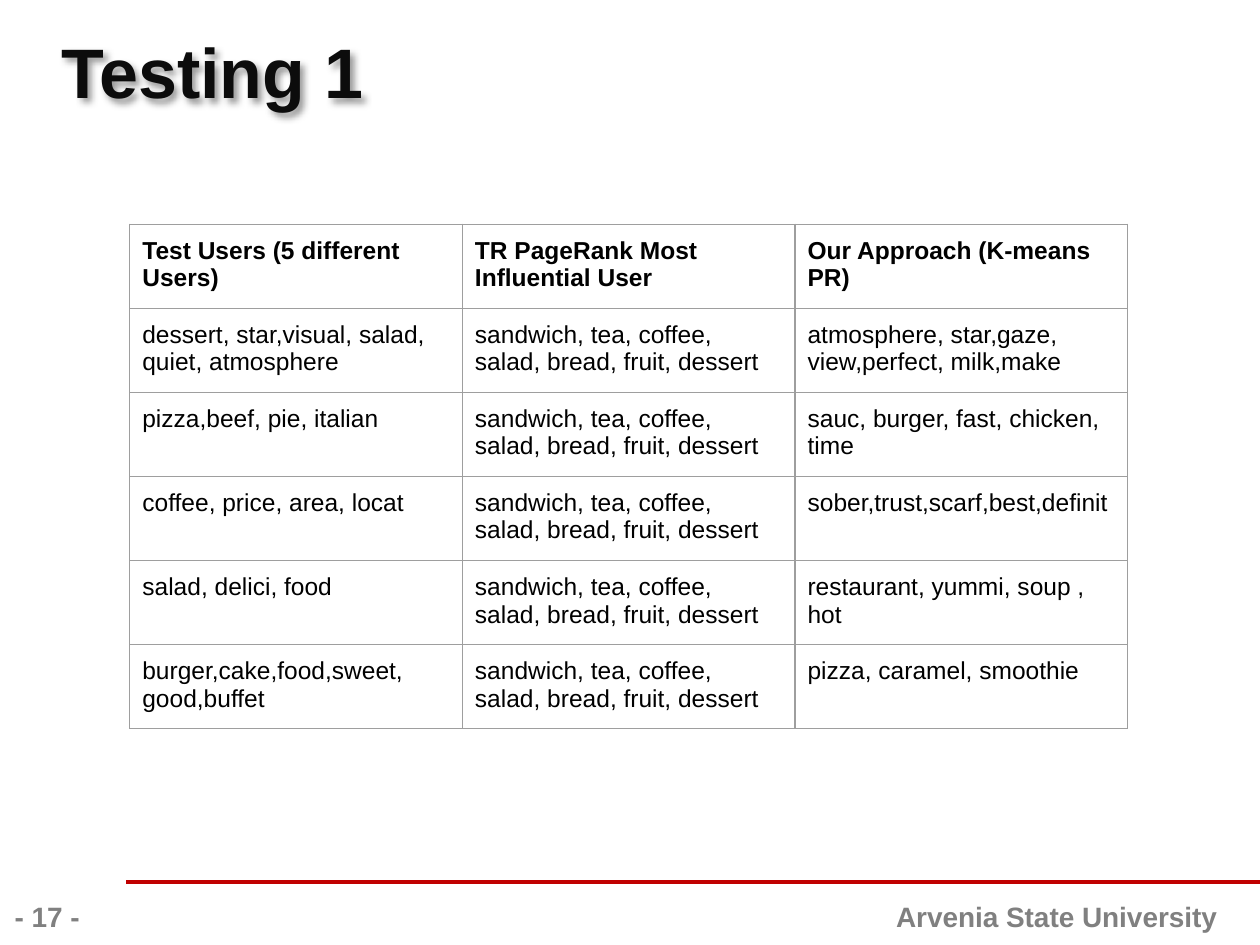
from lxml.etree import SubElement
from pptx import Presentation
from pptx.dml.color import RGBColor
from pptx.enum.shapes import MSO_CONNECTOR as Connector
from pptx.enum.text import MSO_ANCHOR as Anchor, PP_ALIGN as Align
from pptx.oxml.ns import qn
from pptx.util import Inches, Pt

TITLE = "Testing 1"
FOOTER = "Arvenia State University"
PAGE_NUMBER = "- 17 -"
HEADERS = ["Test Users (5 different Users)", "TR PageRank Most Influential User", "Our Approach (K-means PR)"]
PAGERANK = "sandwich, tea, coffee, salad, bread, fruit, dessert"
RESULTS = [
    ("dessert, star,visual, salad, quiet, atmosphere", "atmosphere, star,gaze, view,perfect, milk,make"),
    ("pizza,beef, pie, italian", "sauc, burger, fast, chicken, time"),
    ("coffee, price, area, locat", "sober,trust,scarf,best,definit"),
    ("salad, delici, food", "restaurant, yummi, soup , hot"),
    ("burger,cake,food,sweet,\ngood,buffet", "pizza, caramel, smoothie"),
]
COLUMN_WIDTH, ROW_HEIGHT = 2.64, 0.64


def color(value):
    """Turn a hex string into a colour."""
    return RGBColor.from_string(value)


def write(frame, text, size, ink, bold, align=Align.LEFT):
    """Fill a text frame with evenly styled paragraphs."""
    frame.word_wrap = True
    frame.text = text
    for para in frame.paragraphs:
        para.alignment = align
        para.font.name, para.font.size, para.font.bold = "Arial", Pt(size), bold
        para.font.color.rgb = color(ink)


def add_text(page, place, text, size, ink, align):
    """Add a bold text box."""
    box = page.shapes.add_textbox(*map(Inches, place))
    write(box.text_frame, text, size, ink, True, align)
    return box


def add_title(page):
    """Add the title with its soft shadow."""
    box = add_text(page, (0.49, 0.12, 9, 0.88), TITLE, 40, "0C0C0C", Align.LEFT)
    frame = box.text_frame
    frame.vertical_anchor = Anchor.MIDDLE
    frame.margin_left = frame.margin_right = frame.margin_top = frame.margin_bottom = 0
    effects = SubElement(box._element.spPr, qn("a:effectLst"))
    shadow = SubElement(effects, qn("a:outerShdw"), blurRad=str(Pt(4)), dist=str(Pt(3)), dir="2700000")
    ink = SubElement(shadow, qn("a:srgbClr"), val="000000")
    SubElement(ink, qn("a:alpha"), val="40000")


def add_rule(page):
    """Add the red line above the footer."""
    rule = page.shapes.add_connector(Connector.STRAIGHT, Inches(1), Inches(7), Inches(10), Inches(7))
    rule.line.color.rgb, rule.line.width = color("C00000"), Pt(2)
    SubElement(rule._element.spPr, qn("a:effectLst"))


def add_borders(cell):
    """Draw a thin grey border on each side of a cell."""
    properties = cell._tc.get_or_add_tcPr()
    for index, side in enumerate(("lnL", "lnR", "lnT", "lnB")):
        line = properties.makeelement(qn(f"a:{side}"), {"w": str(Pt(0.75))})
        properties.insert(index, line)
        fill = SubElement(line, qn("a:solidFill"))
        SubElement(fill, qn("a:srgbClr"), val="9E9E9E")


def add_results(page):
    """Add the table of test users and influential users."""
    rows = [HEADERS] + [(user, PAGERANK, approach) for user, approach in RESULTS]
    width, height = COLUMN_WIDTH * len(HEADERS), ROW_HEIGHT * len(rows)
    place = map(Inches, (1.03, 1.78, width, height))
    table = page.shapes.add_table(len(rows), len(HEADERS), *place).table
    table.first_row = table.horz_banding = False
    for row, texts in enumerate(rows):
        for column, text in enumerate(texts):
            cell = table.cell(row, column)
            cell.margin_left = cell.margin_right = cell.margin_top = cell.margin_bottom = Inches(0.1)
            cell.fill.background()
            write(cell.text_frame, text, 14, "000000", row == 0)
            add_borders(cell)


def main():
    """Build the slide and save it."""
    deck = Presentation()
    deck.slide_width, deck.slide_height = Inches(10), Inches(7.5)
    page = deck.slides.add_slide(deck.slide_layouts[6])
    add_rule(page)
    add_text(page, (4.92, 7.09, 4.84, 0.41), FOOTER, 16, "808080", Align.RIGHT)
    add_title(page)
    add_text(page, (0, 7.09, 0.75, 0.41), PAGE_NUMBER, 16, "808080", Align.CENTER)
    add_results(page)
    deck.save("out.pptx")


if __name__ == "__main__":
    main()
